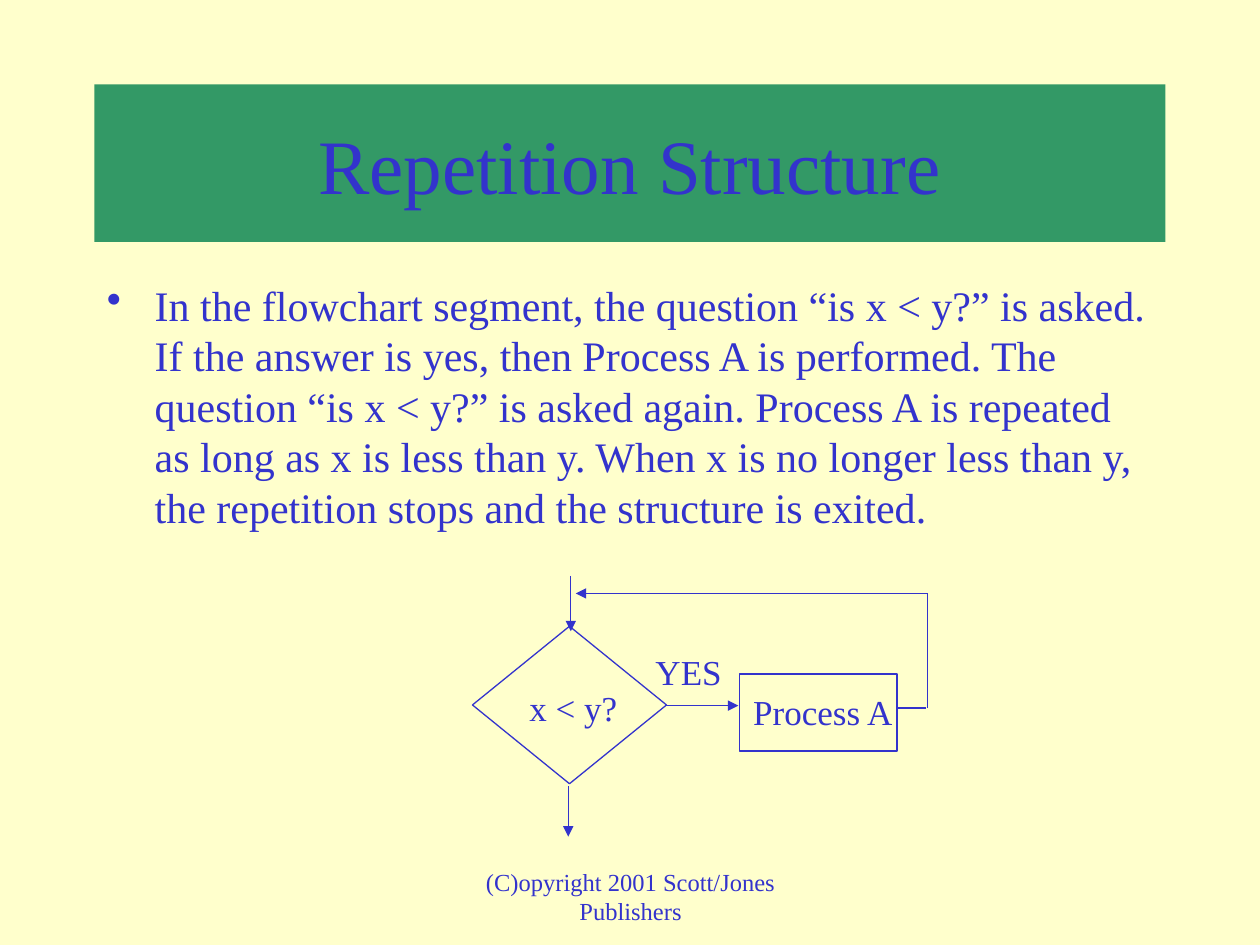
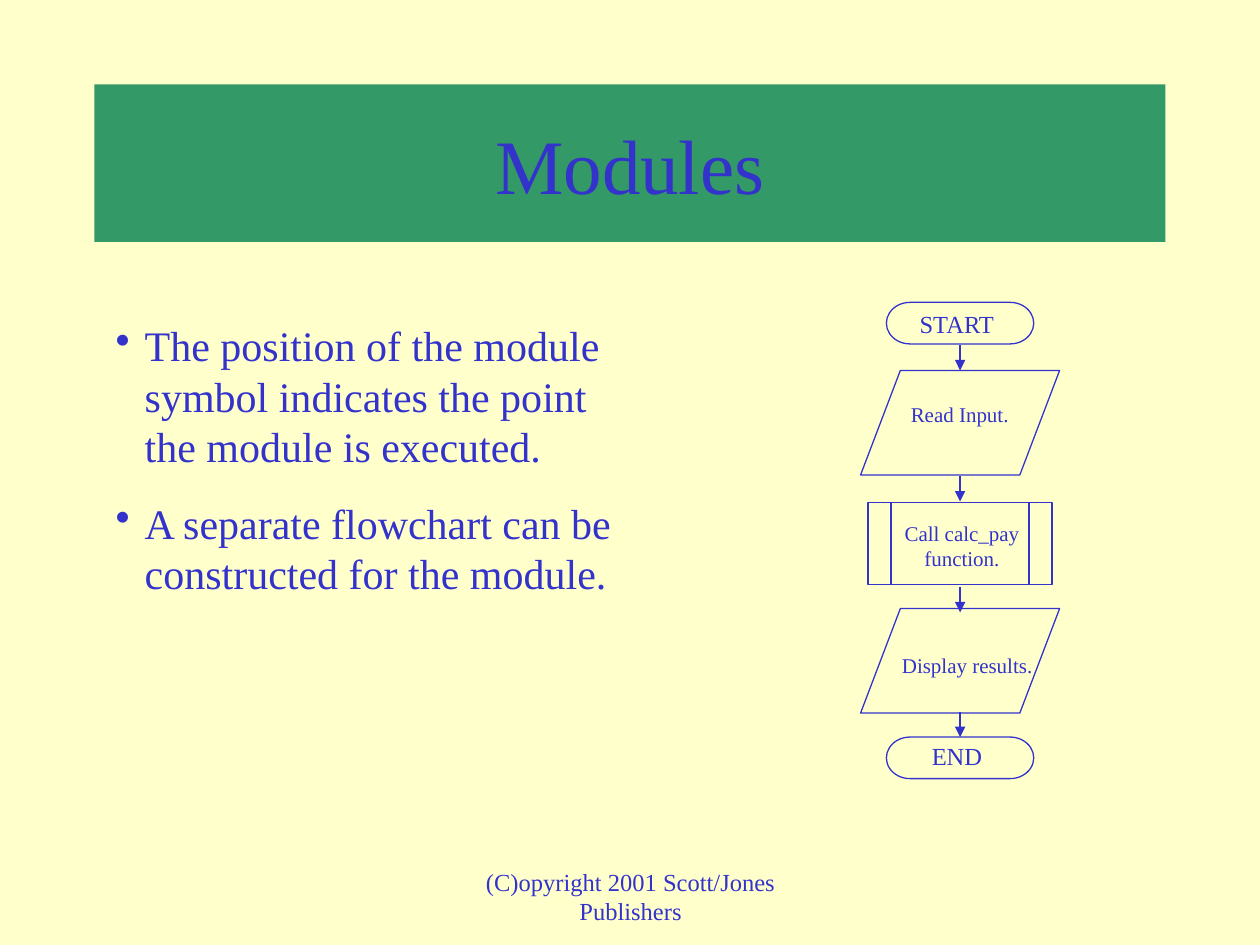
import pptx
import pptx.dml.color
import pptx.enum.shapes
import pptx.enum.text
import pptx.oxml
import pptx.oxml.ns
import pptx.util
from dataclasses import dataclass

Inches = pptx.util.Inches
Pt = pptx.util.Pt
RGB = pptx.dml.color.RGBColor
SHAPE = pptx.enum.shapes.MSO_SHAPE
STRAIGHT = pptx.enum.shapes.MSO_CONNECTOR.STRAIGHT
ALIGN = pptx.enum.text.PP_ALIGN
ANCHOR = pptx.enum.text.MSO_ANCHOR


@dataclass(frozen=True)
class Theme:
    paper: str = "FFFFCC"
    band: str = "339966"
    ink: str = "3333CC"
    font: str = "Times New Roman"
    title: int = 44
    body: int = 24
    node: int = 20
    small: int = 14
    step: int = 12
    line: float = 0.75


THEME = Theme()
TITLE_BOX = (0.75, 0.67, 8.5, 1.25)
FOOTER_BOX = (3.42, 6.83, 3.17, 0.5)
FOOTER = "(C)opyright 2001 Scott/Jones Publishers"

REPETITION = {
    "title": "Repetition Structure",
    "box": (0.75, 2.17, 8.5, 4.5),
    "indent": 0.38,
    "space": 6,
    "bullets": [
        "In the flowchart segment, the question “is x < y?” is asked. "
        "If the answer is yes, then Process A is performed. The question "
        "“is x < y?” is asked again. Process A is repeated as long as x is "
        "less than y. When x is no longer less than y, the repetition stops "
        "and the structure is exited.",
    ],
}
LOOP_NODES = [
    (SHAPE.FLOWCHART_DECISION, (3.75, 4.97, 1.54, 1.25)),
    (SHAPE.RECTANGLE, (5.87, 5.35, 1.25, 0.61)),
]
LOOP_LABELS = [
    ("x < y?", (4.03, 5.4, 1.04, 0.44)),
    ("Process A", (5.82, 5.43, 1.42, 0.44)),
    ("YES", (5.04, 5.11, 0.85, 0.44)),
]
# start, end, has an arrowhead
LOOP_LINES = [
    ((4.53, 4.57), (4.53, 5.01), True),
    ((4.51, 6.24), (4.51, 6.64), True),
    ((5.28, 5.6), (5.86, 5.6), True),
    ((7.12, 5.62), (7.35, 5.62), False),
    ((7.36, 5.62), (7.36, 4.71), False),
    ((7.36, 4.71), (4.57, 4.71), True),
]

MODULES = {
    "title": "Modules",
    "box": (0.82, 2.49, 4.39, 2.31),
    "indent": 0.23,
    "space": 15,
    "bullets": [
        "The position of the module symbol indicates the point the module is executed.",
        "A separate flowchart can be constructed for the module.",
    ],
}
FLOW_X = 7.62
ARROW_LENGTH = 0.2
ARROW_TOPS = [2.74, 3.78, 4.66, 5.65]
STEP_SIZES = {
    SHAPE.FLOWCHART_TERMINATOR: (1.17, 0.33),
    SHAPE.FLOWCHART_DATA: (1.58, 0.83),
    SHAPE.FLOWCHART_PREDEFINED_PROCESS: (1.46, 0.65),
}
# symbol, top, label, label box, type size, alignment
STEPS = [
    (SHAPE.FLOWCHART_TERMINATOR, 2.4, "START", (7.2, 2.4, 0.85, 0.34), THEME.small, ALIGN.LEFT),
    (SHAPE.FLOWCHART_DATA, 2.94, "Read Input.", (7.13, 3.14, 1.12, 0.3), THEME.step, ALIGN.LEFT),
    (SHAPE.FLOWCHART_PREDEFINED_PROCESS, 3.99, "Call calc_pay function.",
     (7.07, 4.08, 1.13, 0.5), THEME.step, ALIGN.CENTER),
    (SHAPE.FLOWCHART_DATA, 4.83, "Display results.", (7.06, 5.13, 1.26, 0.3), THEME.step, ALIGN.LEFT),
    (SHAPE.FLOWCHART_TERMINATOR, 5.85, "END", (7.17, 5.83, 0.85, 0.34), THEME.small, ALIGN.CENTER),
]


def inches(values):
    return [Inches(v) for v in values]


def set_all(target, values):
    for name, value in values.items():
        setattr(target, name, value)


def add_xml(parent, tag, **attrs):
    el = pptx.oxml.parse_xml(f"<a:{tag} {pptx.oxml.ns.nsdecls('a')}/>")
    for name, value in attrs.items():
        el.set(name, value)
    parent.append(el)
    return el


def add_bullet(p, indent):
    pPr = p._p.get_or_add_pPr()
    pPr.set("marL", str(Inches(indent)))
    pPr.set("indent", str(-Inches(indent)))
    add_xml(add_xml(pPr, "buClr"), "srgbClr", val=THEME.ink)
    add_xml(pPr, "buChar", char="•")


def write(sp, paragraphs, size, align=ALIGN.LEFT, anchor=ANCHOR.TOP, indent=0, space=0):
    """Fill a shape with paragraphs; a positive indent makes them bullets."""
    tf = sp.text_frame
    set_all(tf, {"word_wrap": True, "vertical_anchor": anchor})
    for i, text in enumerate(paragraphs):
        p = tf.add_paragraph() if i else tf.paragraphs[0]
        if indent:
            add_bullet(p, indent)
        set_all(p, {"alignment": align, "space_before": Pt(space if i else 0)})
        r = p.add_run()
        r.text = text
        set_all(r.font, {"name": THEME.font, "size": Pt(size)})
        r.font.color.rgb = RGB.from_string(THEME.ink)


def add_text(s, box, paragraphs, size, **style):
    write(s.shapes.add_textbox(*inches(box)), paragraphs, size, **style)


def set_line(line):
    line.color.rgb = RGB.from_string(THEME.ink)
    line.width = Pt(THEME.line)


def add_symbol(s, kind, box):
    sp = s.shapes.add_shape(kind, *inches(box))
    sp.shadow.inherit = False
    sp.fill.background()
    set_line(sp.line)


def add_line(s, start, end, arrow=True):
    cxn = s.shapes.add_connector(STRAIGHT, *inches(start + end))
    set_line(cxn.line)
    if arrow:
        add_xml(cxn.line._get_or_add_ln(), "tailEnd", type="triangle")
    add_xml(cxn._element.spPr, "effectLst")


def add_slide(prs, content):
    """Add a slide with its background, title band, bullets and footer."""
    s = prs.slides.add_slide(prs.slide_layouts[6])
    s.background.fill.solid()
    s.background.fill.fore_color.rgb = RGB.from_string(THEME.paper)
    band = s.shapes.add_shape(SHAPE.RECTANGLE, *inches(TITLE_BOX))
    band.shadow.inherit = False
    band.fill.solid()
    band.fill.fore_color.rgb = RGB.from_string(THEME.band)
    band.line.fill.background()
    write(band, [content["title"]], THEME.title, align=ALIGN.CENTER, anchor=ANCHOR.MIDDLE)
    add_text(s, content["box"], content["bullets"], THEME.body,
             indent=content["indent"], space=content["space"])
    add_text(s, FOOTER_BOX, [FOOTER], THEME.small, align=ALIGN.CENTER)
    return s


def draw_loop(s):
    for kind, box in LOOP_NODES:
        add_symbol(s, kind, box)
    for start, end, arrow in LOOP_LINES:
        add_line(s, start, end, arrow)
    for text, box in LOOP_LABELS:
        add_text(s, box, [text], THEME.node, align=ALIGN.CENTER)


def draw_steps(s):
    for top in ARROW_TOPS:
        add_line(s, (FLOW_X, top), (FLOW_X, top + ARROW_LENGTH))
    for kind, top, text, box, size, align in STEPS:
        width, height = STEP_SIZES[kind]
        add_symbol(s, kind, (FLOW_X - width / 2, top, width, height))
        add_text(s, box, [text], size, align=align)


def main():
    prs = pptx.Presentation()
    set_all(prs, {"slide_width": Inches(10), "slide_height": Inches(7.5)})
    draw_loop(add_slide(prs, REPETITION))
    draw_steps(add_slide(prs, MODULES))
    prs.save("out.pptx")


if __name__ == "__main__":
    main()
